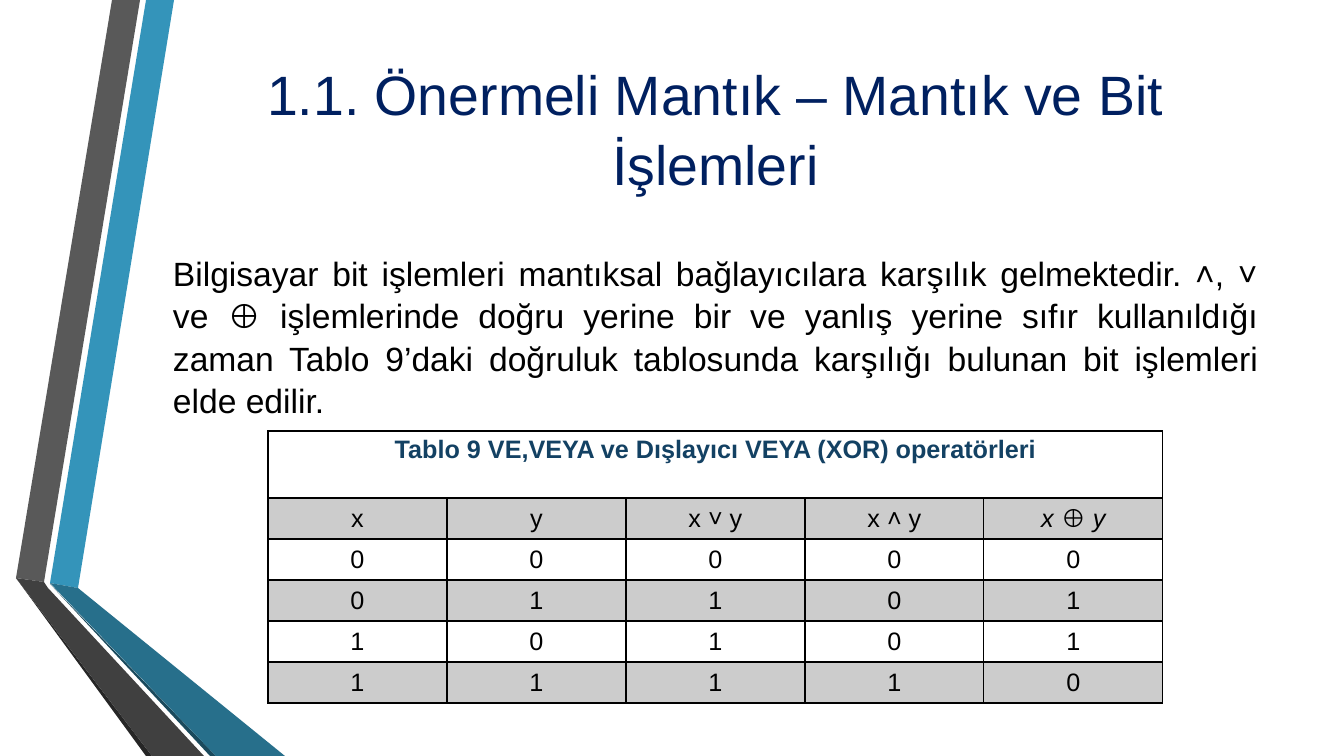
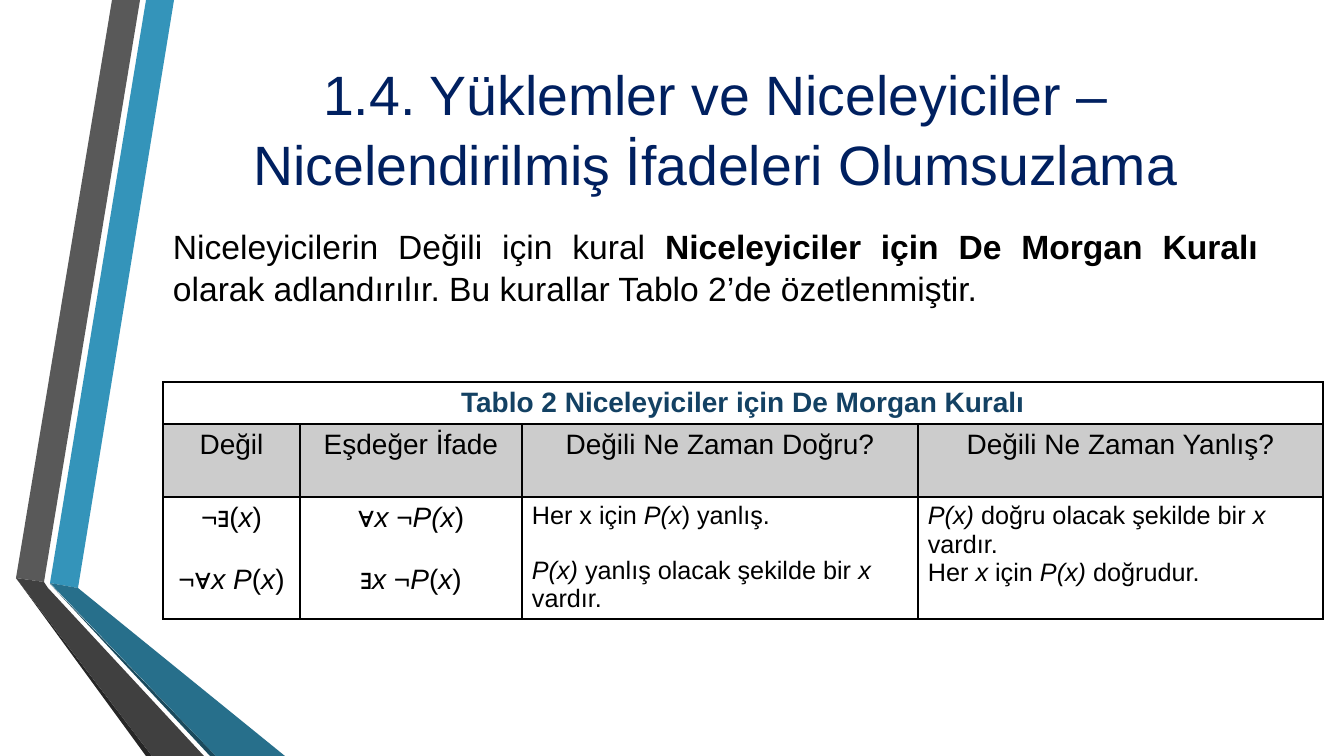
from lxml import etree
from pptx import Presentation
from pptx.dml.color import RGBColor
from pptx.enum.text import MSO_ANCHOR, MSO_AUTO_SIZE, PP_ALIGN
from pptx.oxml.ns import qn
from pptx.util import Emu, Pt

SCALE = 914400 / 100.8
WIDE, HIGH = 1344, 756
FONT = "Arial"
TITLE_ONLY = 5

TOP, MID = MSO_ANCHOR.TOP, MSO_ANCHOR.MIDDLE
LEFT, CENTER, JUST = PP_ALIGN.LEFT, PP_ALIGN.CENTER, PP_ALIGN.JUSTIFY
NO_FIT = MSO_AUTO_SIZE.NONE

NAVY = RGBColor(0x00, 0x20, 0x60)
STEEL = RGBColor(0x13, 0x41, 0x63)
BLACK = RGBColor(0x00, 0x00, 0x00)
GREY = RGBColor(0xCC, 0xCC, 0xCC)
BLUE = RGBColor(0x34, 0x94, 0xBA)
TEAL = RGBColor(0x27, 0x6F, 0x8B)
DEEP = RGBColor(0x1A, 0x4A, 0x5D)
SLATE = RGBColor(0x59, 0x59, 0x59)
COAL = RGBColor(0x40, 0x40, 0x40)
SOOT = RGBColor(0x26, 0x26, 0x26)

BANDS = [
    (BLUE, [(50, 583), (78, 588), (174, 0), (146, 0)]),
    (SLATE, [(140, 0), (112, 0), (16, 578), (44, 582)]),
    (SOOT, [(16, 578), (146, 756), (152, 756)]),
    (DEEP, [(50, 584), (210, 756), (216, 756)]),
    (TEAL, [(50, 583), (216, 756), (285, 756), (78, 588)]),
    (COAL, [(204, 756), (48, 588), (44, 582), (16, 578), (152, 756)]),
]
TITLE_BOX = (163, 57, 1105, 134)


def px(n):
    return Emu(round(n * SCALE))


def write(para, text, size, color, align, bold=False, accent="italic"):
    """Add the runs of text; every second piece between bars is accented."""
    para.alignment = align
    for i, piece in enumerate(text.split("|")):
        if not piece:
            continue
        run = para.add_run()
        run.text = piece
        font = run.font
        font.name, font.size, font.bold = FONT, Pt(size), bold
        font.color.rgb = color
        if i % 2:
            setattr(font, accent, True)


def set_frame(frame):
    frame.word_wrap = True
    frame.auto_size = NO_FIT
    frame.vertical_anchor = TOP
    frame.margin_left = frame.margin_right = px(10)
    frame.margin_top = frame.margin_bottom = 0
    para = frame.paragraphs[0]
    para.line_spacing = 1.05
    para.space_before = Pt(0)
    return para


def add_bands(slide):
    for color, points in BANDS:
        pen = slide.shapes.build_freeform(*points[0], scale=SCALE)
        pen.add_line_segments(points[1:], close=True)
        band = pen.convert_to_shape()
        band.shadow.inherit = False
        band.fill.solid()
        band.fill.fore_color.rgb = color
        band.line.fill.background()


def add_title(slide, text, box):
    title = slide.shapes.title
    title.left, title.top, title.width, title.height = map(px, box)
    write(set_frame(title.text_frame), text, 39.6, NAVY, CENTER)


def add_body(slide, text, box):
    body = slide.shapes.add_textbox(*map(px, box))
    write(set_frame(body.text_frame), text, 24, BLACK, JUST, accent="bold")


def set_border(cell):
    props = cell._tc.get_or_add_tcPr()
    for side in ("lnL", "lnR", "lnT", "lnB"):
        line = etree.SubElement(props, qn("a:" + side), w=str(Pt(1)))
        fill = etree.SubElement(line, qn("a:solidFill"))
        etree.SubElement(fill, qn("a:srgbClr"), val=str(BLACK))


def add_grid(slide, spot, cols, rows):
    """Add a bordered table with its first row merged into a caption."""
    box = (*spot, sum(cols), sum(rows))
    grid = slide.shapes.add_table(len(rows), len(cols), *map(px, box)).table
    grid.first_row = grid.horz_banding = False
    for col, wide in zip(grid.columns, cols):
        col.width = px(wide)
    for r, (row, high) in enumerate(zip(grid.rows, rows)):
        row.height = px(high)
        for cell in row.cells:
            set_border(cell)
            cell.margin_left = cell.margin_right = px(10)
            cell.margin_top, cell.margin_bottom = px(5), px(2)
            if r % 2:
                cell.fill.solid()
                cell.fill.fore_color.rgb = GREY
            else:
                cell.fill.background()
    grid.cell(0, 0).merge(grid.cell(0, len(cols) - 1))
    return grid


def fill_cell(cell, text, size, color=BLACK, align=CENTER, bold=False,
              anchor=TOP, gap=0):
    """Write one paragraph for each line of text, gap points apart."""
    cell.vertical_anchor = anchor
    frame = cell.text_frame
    for i, line in enumerate(text.split("\n")):
        para = frame.add_paragraph() if i else frame.paragraphs[0]
        if i:
            para.space_before = Pt(gap)
        write(para, line, size, color, align, bold)


def add_truth(slide, spot):
    grid = add_grid(slide, spot, [179] * 5, [67] + [41] * 5)
    fill_cell(grid.cell(0, 0),
              "Tablo 9 VE,VEYA ve Dışlayıcı VEYA (XOR) operatörleri",
              18, STEEL, bold=True)
    pairs = [(x, y) for x in (0, 1) for y in (0, 1)]
    rows = [("x", "y", "x ˅ y", "x ˄ y", "|x |⊕| y")]
    rows += [(x, y, x | y, x & y, x ^ y) for x, y in pairs]
    for r, row in enumerate(rows, 1):
        for c, value in enumerate(row):
            cell = grid.cell(r, c)
            cell.margin_bottom = px(5)
            fill_cell(cell, str(value), 18, anchor=MID)


def add_rules(slide, spot):
    grid = add_grid(slide, spot, [137, 222, 396, 405], [42, 73, 122])
    fill_cell(grid.cell(0, 0), "Tablo 2 Niceleyiciler için De Morgan Kuralı",
              20, STEEL, bold=True)
    heads = ("Değil", "Eşdeğer İfade", "Değili Ne Zaman Doğru?",
             "Değili Ne Zaman Yanlış?")
    rules = [
        ("¬∃(|x|)\n¬∀|x P|(|x|)", 20, CENTER, 22),
        ("∀|x |¬|P(x|)\n∃|x |¬|P|(|x|)", 20, CENTER, 22),
        ("Her x için |P(x|) yanlış.\n"
         "|P(x)| yanlış olacak şekilde bir |x| vardır.", 18, LEFT, 19),
        ("|P(x)| doğru olacak şekilde bir |x| vardır.\n"
         "Her |x| için |P(x)| doğrudur.", 18, LEFT, 0),
    ]
    for c, (head, (text, size, align, gap)) in enumerate(zip(heads, rules)):
        fill_cell(grid.cell(1, c), head, 20)
        fill_cell(grid.cell(2, c), text, size, align=align, gap=gap)


def add_slide(deck, title, body, box):
    slide = deck.slides.add_slide(deck.slide_layouts[TITLE_ONLY])
    add_bands(slide)
    add_title(slide, title, TITLE_BOX)
    add_body(slide, body, box)
    return slide


def main():
    deck = Presentation()
    deck.slide_width, deck.slide_height = px(WIDE), px(HIGH)

    logic = add_slide(
        deck, "1.1. Önermeli Mantık – Mantık ve Bit İşlemleri",
        "Bilgisayar bit işlemleri mantıksal bağlayıcılara karşılık "
        "gelmektedir. ˄, ˅ ve ⊕ işlemlerinde doğru yerine bir ve yanlış "
        "yerine sıfır kullanıldığı zaman Tablo 9’daki doğruluk tablosunda "
        "karşılığı bulunan bit işlemleri elde edilir.",
        (163, 251, 1105, 162))
    add_truth(logic, (268, 431))

    negation = add_slide(
        deck, "1.4. Yüklemler ve Niceleyiciler – "
        "Nicelendirilmiş İfadeleri Olumsuzlama",
        "Niceleyicilerin Değili için kural |Niceleyiciler için De Morgan "
        "Kuralı |olarak adlandırılır. Bu kurallar Tablo 2’de özetlenmiştir.",
        (163, 224, 1105, 81))
    add_rules(negation, (163, 382))

    deck.save("out.pptx")


if __name__ == "__main__":
    main()
